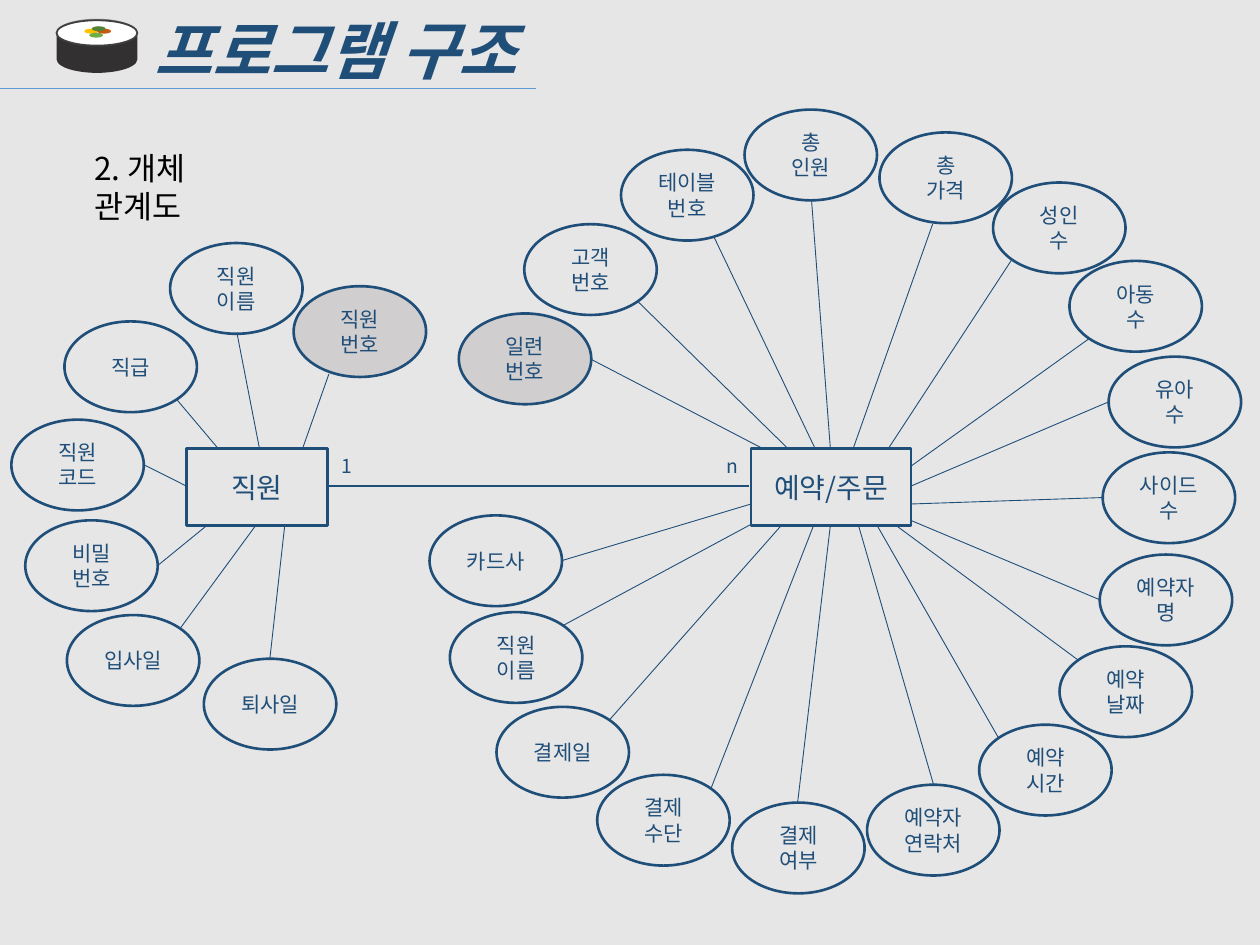
"""Build the entity-relationship slide of the reservation program."""
import lxml.etree
import pptx
import pptx.dml.color
import pptx.enum.shapes
import pptx.enum.text
import pptx.oxml.ns
import pptx.util

Cm = pptx.util.Cm
RGBColor = pptx.dml.color.RGBColor
Shape = pptx.enum.shapes.MSO_SHAPE
Align = pptx.enum.text.PP_ALIGN
qn = pptx.oxml.ns.qn

NAVY = RGBColor(0x1F, 0x4E, 0x79)
BLUE = RGBColor(0x5B, 0x9B, 0xD5)
PAPER = RGBColor(0xE7, 0xE6, 0xE6)
KEY_GRAY = RGBColor(0xD0, 0xCE, 0xCE)
BLACK = RGBColor(0x00, 0x00, 0x00)
WHITE = RGBColor(0xFF, 0xFF, 0xFF)
SEAWEED = RGBColor(0x32, 0x30, 0x31)
OUTLINE = RGBColor(0x40, 0x40, 0x40)
YELLOW = RGBColor(0xFF, 0xC0, 0x00)
GREEN = RGBColor(0x70, 0xAD, 0x47)
ORANGE = RGBColor(0xC5, 0x5A, 0x11)
DARK_GREEN = RGBColor(0x54, 0x82, 0x35)

FONT = "Noto Sans CJK KR"
ATTRIBUTE_SIZE = (2.67, 1.83)

EMPLOYEE_ATTRIBUTES = [
    ("직원\n이름", (3.43, 4.90), (4.78, 6.73), (5.23, 9.04)),
    ("직급", (1.30, 6.48), (3.56, 8.05), (4.70, 9.40)),
    ("직원\n코드", (0.23, 8.46), (2.90, 9.37), (3.76, 9.80)),
    ("비밀\n번호", (0.51, 10.49), (3.18, 11.40), (4.70, 10.16)),
    ("입사일", (1.35, 12.40), (3.63, 12.67), (5.23, 10.49)),
    ("퇴사일", (4.11, 13.28), (5.44, 13.28), (5.74, 10.59)),
    ("직원\n번호", (5.92, 5.77), (6.63, 7.54), (6.10, 9.04)),
]
ORDER_ATTRIBUTES = [
    ("일련\n번호", (9.25, 6.32), (11.91, 7.24), (15.37, 9.04)),
    ("고객\n번호", (10.57, 4.52), (12.85, 6.07), (15.88, 9.04)),
    ("테이블\n번호", (12.52, 3.02), (14.38, 4.75), (16.43, 9.04)),
    ("총\n인원", (15.01, 2.21), (16.36, 4.04), (16.74, 9.04)),
    ("총\n가격", (17.73, 2.67), (18.80, 4.52), (17.20, 9.04)),
    ("성인\n수", (20.02, 3.68), (20.40, 5.23), (17.91, 9.04)),
    ("아동\n수", (21.56, 5.26), (21.95, 6.83), (18.36, 9.40)),
    ("유아\n수", (22.35, 7.19), (22.35, 8.10), (18.36, 9.80)),
    ("사이드\n수", (22.23, 9.12), (22.23, 10.03), (18.36, 10.16)),
    ("예약자\n명", (22.17, 11.18), (22.17, 12.09), (18.36, 10.49)),
    ("예약\n날짜", (21.36, 13.03), (21.74, 13.31), (18.06, 10.59)),
    ("예약\n시간", (19.74, 14.61), (20.12, 14.86), (17.68, 10.59)),
    ("예약자\n연락처", (17.48, 15.82), (18.82, 15.82), (17.30, 10.57)),
    ("결제\n여부", (14.76, 16.18), (16.08, 16.18), (16.74, 10.59)),
    ("결제\n수단", (12.04, 15.62), (14.33, 15.90), (16.41, 10.57)),
    ("결제일", (10.01, 14.25), (12.27, 14.53), (15.77, 10.57)),
    ("직원\n이름", (9.07, 12.34), (11.33, 12.62), (15.14, 10.57)),
    ("카드사", (8.66, 10.39), (11.33, 11.30), (15.14, 10.16)),
]
KEY_ATTRIBUTES = ("직원\n번호", "일련\n번호")
FILLINGS = [
    ((1.70, 0.58), YELLOW),
    ((1.80, 0.66), GREEN),
    ((1.96, 0.58), ORANGE),
    ((1.85, 0.53), DARK_GREEN),
]


def write_text(text_frame, text, size=12, color=NAVY, bold=False, italic=False,
               align=Align.LEFT):
    """Write one paragraph per line of text with the given format."""
    for index, line in enumerate(text.split("\n")):
        paragraph = text_frame.add_paragraph() if index else text_frame.paragraphs[0]
        paragraph.alignment = align
        paragraph.line_spacing = pptx.util.Pt(size * 1.2)
        run = paragraph.add_run()
        run.text = line
        font = run.font
        font.size = pptx.util.Pt(size)
        font.bold, font.italic = bold, italic
        font.color.rgb = color
        font.name = FONT
        east_asian = lxml.etree.SubElement(font._element, qn("a:ea"))
        east_asian.set("typeface", FONT)


class DiagramSlide:
    """Hold the diagram style and the slide being drawn."""

    def __init__(self, slide):
        self.slide = slide
        self.thin, self.thick = pptx.util.Pt(0.5), pptx.util.Pt(1.5)
        slide.background.fill.solid()
        slide.background.fill.fore_color.rgb = PAPER

    def shape(self, kind, position, extent, fill=PAPER, line=None, width=None):
        shape = self.slide.shapes.add_shape(kind, *map(Cm, position + extent))
        shape.shadow.inherit = False
        shape.fill.solid()
        shape.fill.fore_color.rgb = fill
        if line is None:
            shape.line.fill.background()
        else:
            shape.line.color.rgb = line
            shape.line.width = width
        return shape

    def node(self, kind, text, position, extent, font_size, fill=PAPER):
        shape = self.shape(kind, position, extent, fill, NAVY, self.thick)
        shape.text_frame.word_wrap = True
        shape.text_frame.vertical_anchor = pptx.enum.text.MSO_ANCHOR.MIDDLE
        write_text(shape.text_frame, text, size=font_size, align=Align.CENTER)

    def entity(self, text, position, extent):
        self.node(Shape.RECTANGLE, text, position, extent, 16)

    def attribute(self, text, position):
        fill = KEY_GRAY if text in KEY_ATTRIBUTES else PAPER
        self.node(Shape.OVAL, text, position, ATTRIBUTE_SIZE, 12, fill)

    def line(self, start, end, color=NAVY, width=None):
        connector = self.slide.shapes.add_connector(
            pptx.enum.shapes.MSO_CONNECTOR.STRAIGHT, *map(Cm, start + end))
        connector.line.color.rgb = color
        connector.line.width = width or self.thin
        lxml.etree.SubElement(connector._element.spPr, qn("a:effectLst"))

    def label(self, text, position, extent, wrap=False, **text_format):
        box = self.slide.shapes.add_textbox(*map(Cm, position + extent))
        box.text_frame.word_wrap = wrap
        write_text(box.text_frame, text, **text_format)

    def sushi_roll(self):
        roll = self.shape(Shape.CAN, (1.14, 0.38), (1.63, 1.09), SEAWEED)
        roll.adjustments[0] = 0.5
        self.shape(Shape.OVAL, (1.14, 0.41), (1.63, 0.51), WHITE, OUTLINE,
                   pptx.util.Pt(1))
        for position, color in FILLINGS:
            self.shape(Shape.OVAL, position, (0.28, 0.10), color)


def main():
    presentation = pptx.Presentation()
    presentation.slide_width, presentation.slide_height = Cm(25.4), Cm(19.05)
    diagram = DiagramSlide(presentation.slides.add_slide(presentation.slide_layouts[6]))

    diagram.sushi_roll()
    diagram.label("프로그램 구조", (2.87, 0.1), (12.47, 1.8), wrap=True, size=36,
                  bold=True, italic=True)
    diagram.line((0, 1.78), (10.8, 1.78), color=BLUE)
    diagram.label("2. 개체 관계도", (1.65, 2.88), (2.9, 1.8), wrap=True, size=18,
                  color=BLACK)

    attributes = EMPLOYEE_ATTRIBUTES + ORDER_ATTRIBUTES
    for _, _, start, end in attributes:
        diagram.line(start, end)

    diagram.entity("직원", (3.76, 9.04), (2.84, 1.55))
    diagram.entity("예약/주문", (15.14, 9.04), (3.23, 1.55))
    diagram.line((6.6, 9.8), (15.09, 9.8), width=diagram.thick)
    diagram.label("1", (6.63, 9.04), (0.74, 0.74), size=11)
    diagram.label("n", (14.4, 9.04), (0.76, 0.74), size=11)

    for text, position, _, _ in attributes:
        diagram.attribute(text, position)

    presentation.save("out.pptx")


if __name__ == "__main__":
    main()
